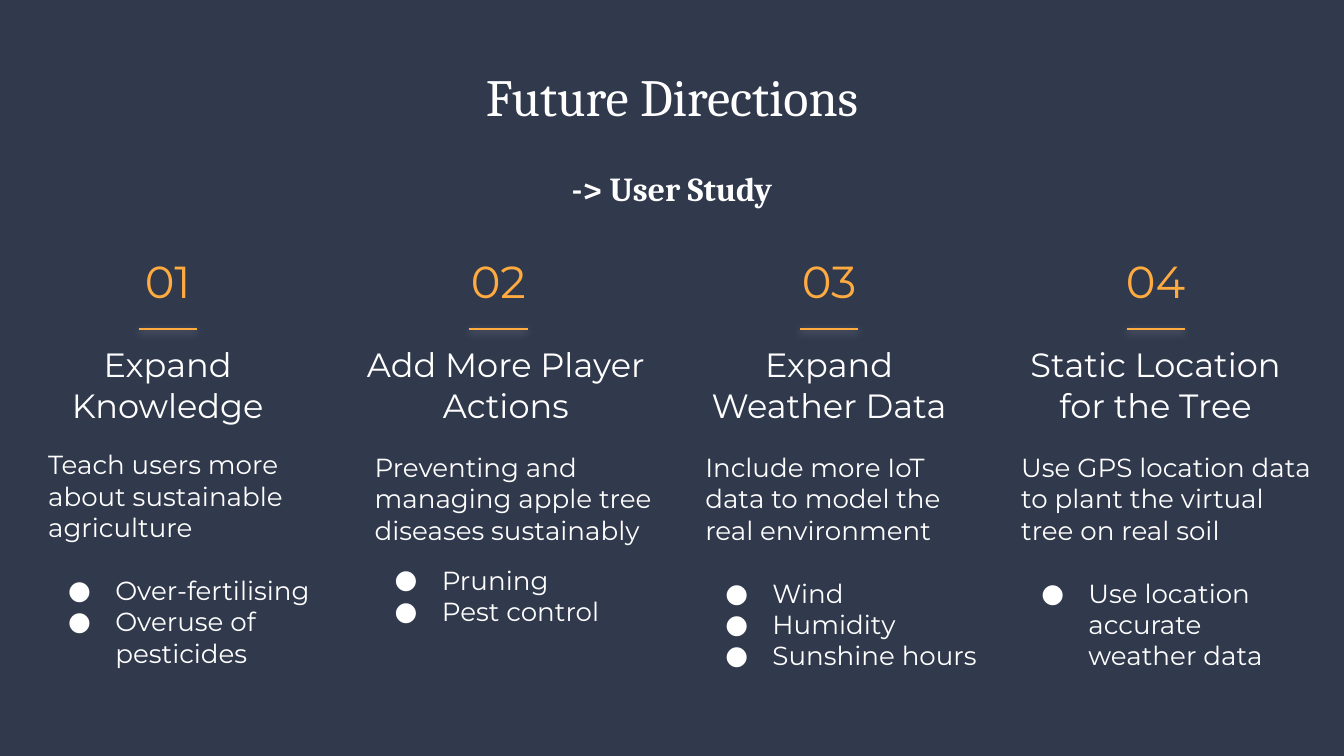
from dataclasses import dataclass
from typing import Optional

from lxml import etree
from pptx import Presentation
from pptx import util as u
from pptx.dml.color import RGBColor
from pptx.enum import shapes, text
from pptx.oxml import ns, parse_xml

BACKGROUND = RGBColor(0x31, 0x39, 0x4D)
WHITE = RGBColor(0xFF, 0xFF, 0xFF)
ORANGE = RGBColor(0xFF, 0xAB, 0x40)
SERIF = "Cambria"
SANS = "Montserrat"

COLUMN_WIDTH = 5.74
RULE_WIDTH = 1.1
RULE_TOP = 6.22
LINE_GAP = 17

SHADOW = (
    f'<a:effectLst {ns.nsdecls("a")}>'
    '<a:outerShdw blurRad="57150" dist="19050" dir="5400000" algn="bl" rotWithShape="0">'
    '<a:srgbClr val="FFFFFF"><a:alpha val="50000"/></a:srgbClr>'
    "</a:outerShdw></a:effectLst>"
)


@dataclass(frozen=True)
class Box:
    """A rectangle in centimetres."""
    left: float
    top: float
    width: float
    height: float


@dataclass(frozen=True)
class Style:
    font: str
    size: int
    color: RGBColor = WHITE
    bold: bool = False


@dataclass(frozen=True)
class Direction:
    left: float
    heading: str
    heading_box: Box
    summary: str
    points: tuple[str, ...]
    body_box: Box
    points_gap: int = LINE_GAP


TITLE = Style(SERIF, 28)
SUBTITLE = Style(SERIF, 18, bold=True)
NUMBER = Style(SANS, 24, ORANGE)
HEADING = Style(SANS, 18)
BODY = Style(SANS, 14)

DIRECTIONS = (
    Direction(0.3, "Expand Knowledge", Box(0.3, 6.76, COLUMN_WIDTH, 1.52),
              "Teach users more about sustainable agriculture",
              ("Over-fertilising", "Overuse of pesticides"),
              Box(0.66, 8.23, COLUMN_WIDTH, 5.36)),
    Direction(6.55, "Add More Player Actions", Box(6.6, 6.76, 5.92, 1.52),
              "Preventing and managing apple tree diseases sustainably",
              ("Pruning", "Pest control"),
              Box(6.83, 8.28, COLUMN_WIDTH, 4.52), points_gap=10),
    Direction(12.8, "Expand Weather Data", Box(12.8, 6.76, COLUMN_WIDTH, 1.52),
              "Include more IoT data to model the real environment",
              ("Wind", "Humidity", "Sunshine hours"),
              Box(13.08, 8.28, COLUMN_WIDTH, 5.03)),
    Direction(18.97, "Static Location for the Tree", Box(18.97, 6.76, COLUMN_WIDTH, 1.52),
              "Use GPS location data to plant the virtual tree on real soil",
              ("Use location accurate weather data",),
              Box(19.05, 8.28, 6.05, 4.52)),
)


def add_frame(slide, box: Box, anchor: text.MSO_ANCHOR):
    shape = slide.shapes.add_textbox(*map(u.Cm, (box.left, box.top, box.width, box.height)))
    frame = shape.text_frame
    frame.word_wrap = True
    frame.auto_size = text.MSO_AUTO_SIZE.NONE
    frame.vertical_anchor = anchor
    frame.margin_left = frame.margin_right = u.Cm(0.25)
    frame.margin_top = frame.margin_bottom = u.Cm(0.25)
    return frame


def add_run(paragraph, content: str, style: Style) -> None:
    run = paragraph.add_run()
    run.text = content
    run.font.name = style.font
    run.font.size = u.Pt(style.size)
    run.font.bold = style.bold
    run.font.color.rgb = style.color


def add_centred_text(slide, box: Box, content: str, style: Style,
                     anchor: text.MSO_ANCHOR = text.MSO_ANCHOR.BOTTOM) -> None:
    paragraph = add_frame(slide, box, anchor).paragraphs[0]
    paragraph.alignment = text.PP_ALIGN.CENTER
    add_run(paragraph, content, style)


def set_bullet(paragraph) -> None:
    """Give the paragraph a white dot and a hanging indent."""
    properties = paragraph._p.get_or_add_pPr()
    properties.set("marL", str(u.Cm(1.27)))
    properties.set("indent", str(-u.Cm(0.89)))
    color = etree.SubElement(properties, ns.qn("a:buClr"))
    etree.SubElement(color, ns.qn("a:srgbClr"), val=str(WHITE))
    etree.SubElement(properties, ns.qn("a:buFont"), typeface=SANS)
    etree.SubElement(properties, ns.qn("a:buChar"), char="●")


def add_body(slide, direction: Direction) -> None:
    frame = add_frame(slide, direction.body_box, text.MSO_ANCHOR.TOP)
    add_run(frame.paragraphs[0], direction.summary, BODY)
    gap: Optional[int] = direction.points_gap
    for point in direction.points:
        paragraph = frame.add_paragraph()
        if gap:
            paragraph.space_before = u.Pt(gap)
            gap = None
        set_bullet(paragraph)
        add_run(paragraph, point, BODY)


def add_rule(slide, center: float) -> None:
    """Draw the short glowing line below a number."""
    start, end = center - RULE_WIDTH / 2, center + RULE_WIDTH / 2
    rule = slide.shapes.add_connector(
        shapes.MSO_CONNECTOR.STRAIGHT,
        u.Cm(start), u.Cm(RULE_TOP), u.Cm(end), u.Cm(RULE_TOP))
    rule.line.color.rgb = ORANGE
    rule.line.width = u.Pt(0.75)
    rule._element.spPr.append(parse_xml(SHADOW))


def add_direction(slide, number: int, direction: Direction) -> None:
    number_box = Box(direction.left, 4.06, COLUMN_WIDTH, 2.01)
    add_centred_text(slide, number_box, f"{number:02}", NUMBER)
    add_rule(slide, direction.left + COLUMN_WIDTH / 2)
    add_centred_text(slide, direction.heading_box, direction.heading, HEADING)
    add_body(slide, direction)


def main() -> None:
    presentation = Presentation()
    presentation.slide_width = u.Cm(25.4)
    presentation.slide_height = u.Cm(14.29)
    slide = presentation.slides.add_slide(presentation.slide_layouts[6])
    slide.background.fill.solid()
    slide.background.fill.fore_color.rgb = BACKGROUND

    add_centred_text(slide, Box(1.17, 0.97, 23.06, 1.7), "Future Directions", TITLE,
                     text.MSO_ANCHOR.TOP)
    add_centred_text(slide, Box(9.83, 2.67, COLUMN_WIDTH, 1.52), "-> User Study", SUBTITLE)
    for number, direction in enumerate(DIRECTIONS, start=1):
        add_direction(slide, number, direction)

    presentation.save("out.pptx")


if __name__ == "__main__":
    main()
